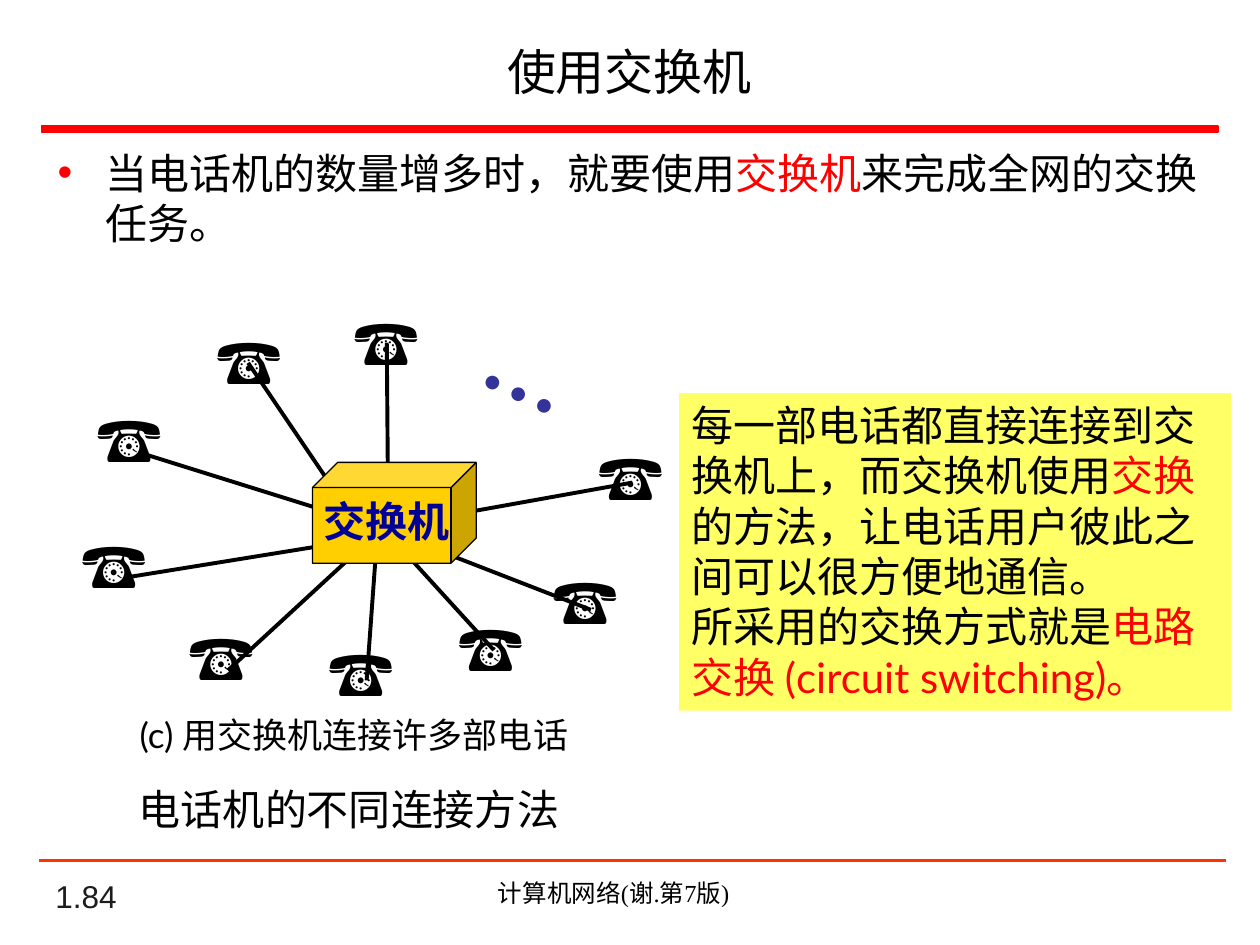
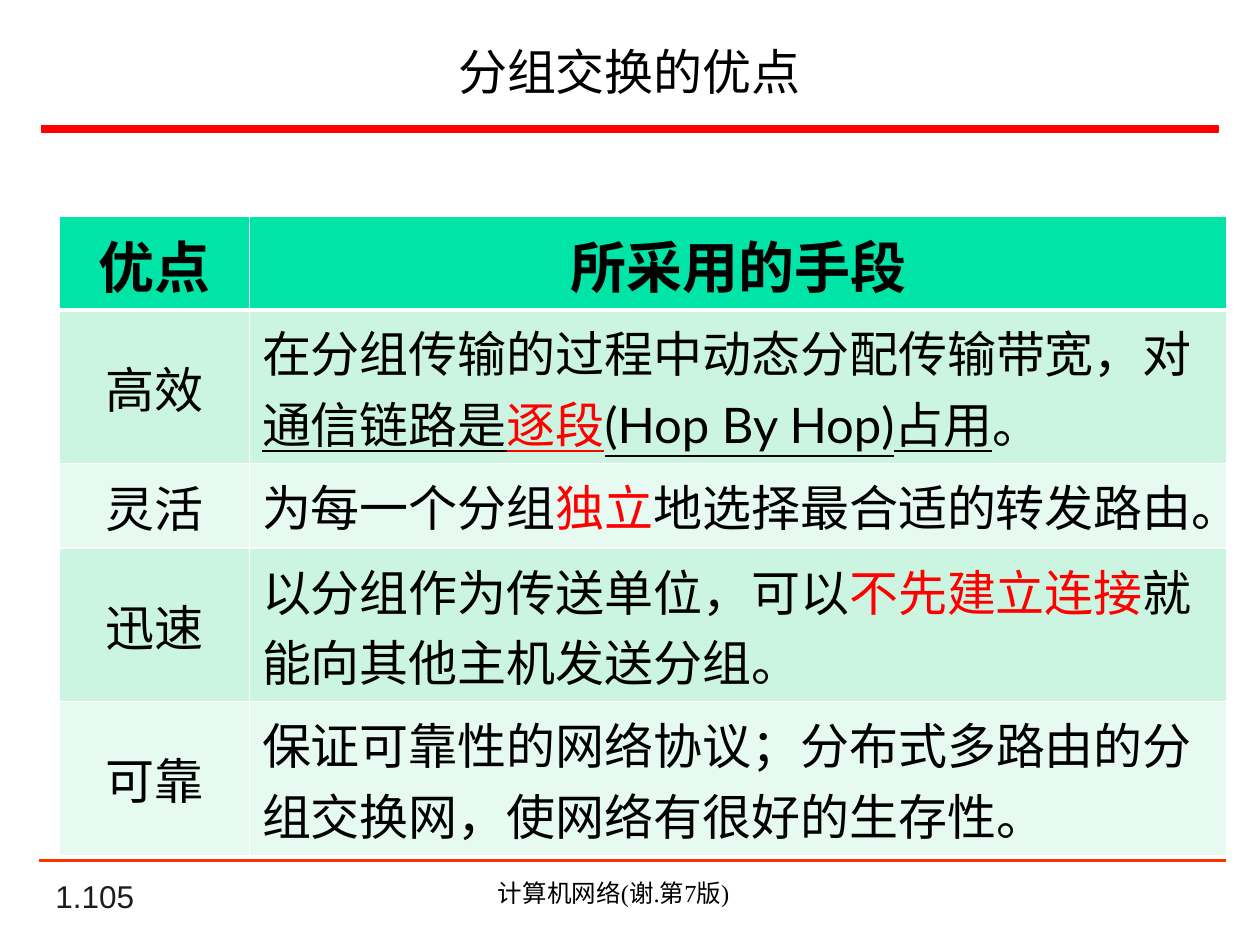
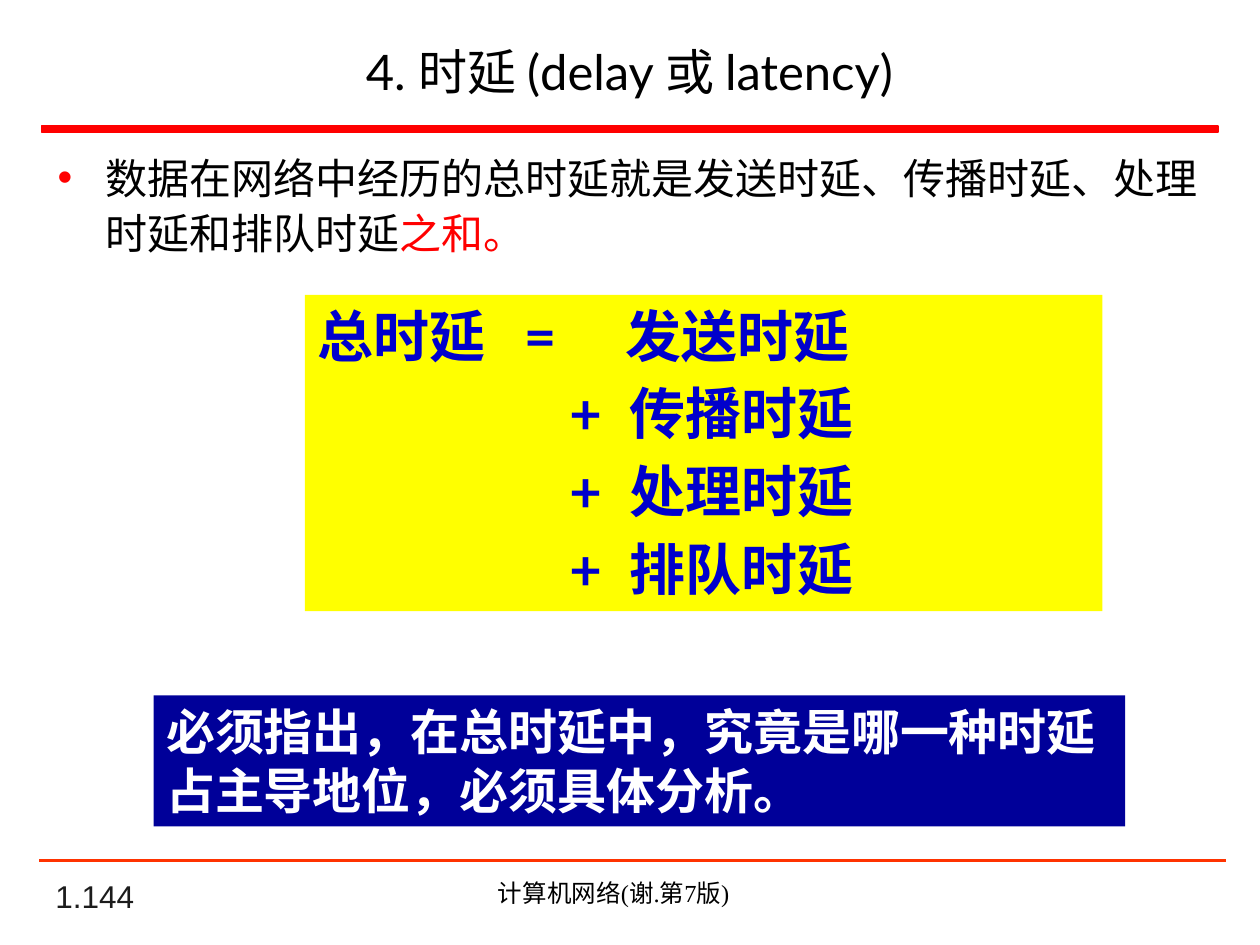
from lxml import etree
from pptx import Presentation
from pptx.dml.color import RGBColor
from pptx.enum import shapes, text
from pptx.oxml import ns

PX = 9144  # 100 px to the inch
BLACK, WHITE, RED, NAVY = "000000", "FFFFFF", "FF0000", "000099"
LATO, TIMES = "Lato", "Times New Roman"
CENTER = text.PP_ALIGN.CENTER
MIDDLE = text.MSO_ANCHOR.MIDDLE


def color(value):
    return RGBColor.from_string(value)


def write(frame, paragraphs, **look):
    """Fill a frame; a paragraph is a list of strings or (string, changes)."""
    look = {"name": LATO, "size": 24, "color": BLACK, "bold": False, **look}
    frame.word_wrap = True
    for index, runs in enumerate(paragraphs):
        paragraph = frame.add_paragraph() if index else frame.paragraphs[0]
        paragraph.alignment = look.get("alignment")
        paragraph.line_spacing = look.get("line_spacing")
        if index and "gap" in look:
            paragraph.space_before = look["gap"] * 12700
        properties = paragraph._p.get_or_add_pPr()
        if look.get("bullet"):
            properties.set("marL", str(38 * PX))
            properties.set("indent", str(-38 * PX))
            bullet_color = etree.SubElement(properties, ns.qn("a:buClr"))
            etree.SubElement(bullet_color, ns.qn("a:srgbClr"), val=RED)
            etree.SubElement(properties, ns.qn("a:buFont"), typeface="Arial")
            etree.SubElement(properties, ns.qn("a:buChar"), char="•")
        if "tabs" in look:
            tabs = etree.SubElement(properties, ns.qn("a:tabLst"))
            for stop in look["tabs"][min(index, 1)]:
                etree.SubElement(tabs, ns.qn("a:tab"), pos=str(stop * PX), algn="l")
        for item in runs:
            words, changes = (item, {}) if isinstance(item, str) else item
            style = {**look, **changes}
            run = paragraph.add_run()
            run.text = words
            run.font.color.rgb = color(style["color"])
            run.font.size = style["size"] * 12700
            for key in ("name", "bold", "underline"):
                setattr(run.font, key, style.get(key))


presentation = Presentation()
presentation.slide_width, presentation.slide_height = 1000 * PX, 750 * PX
red = {"color": RED}

# Title, red band, footer line and footer texts of every slide
lines = []  # slide, ends, colour, width in points
panels = []  # slide, box, fill, paragraphs, look
slides = []
for title, number in [("使用交换机", "1.84"), ("分组交换的优点", "1.105"),
                      ("4. 时延 (delay 或 latency)", "1.144")]:
    slide = presentation.slides.add_slide(presentation.slide_layouts[5])
    slides.append(slide)
    heading = slide.shapes.title
    heading.left, heading.top, heading.width, heading.height = [
        value * PX for value in (39, 22, 921, 69)]
    heading.text_frame.auto_size = text.MSO_AUTO_SIZE.NONE
    heading.text_frame.vertical_anchor = MIDDLE
    write(heading.text_frame, [[title]], size=28, alignment=CENTER)

    band = slide.shapes.add_shape(
        shapes.MSO_SHAPE.RECTANGLE, *[value * PX for value in (33, 100, 934, 5)])
    band.shadow.inherit = False
    band.fill.solid()
    band.fill.fore_color.rgb = band.line.color.rgb = color(RED)
    band.line.width = 12700

    lines.append((slide, (31, 683, 973, 683), "FF3300", 1.5))
    panels += [
        (slide, (34, 698, 208, 33), None, [[number]],
         {"name": "Arial", "size": 18, "color": "1C1C1C", "anchor": text.MSO_ANCHOR.BOTTOM}),
        (slide, (283, 692, 408, 34), None, [["计算机网络(谢.第7版)"]],
         {"name": TIMES, "size": 14, "alignment": CENTER}),
    ]
exchange, advantages, delay = slides

# Telephones, each with its wire to the switch
telephones = [
    ((271, 235), (307, 272, 308, 399)), ((162, 250), (197, 288, 264, 387)),
    ((67, 312), (110, 359, 270, 409)), ((55, 412), (102, 458, 275, 430)),
    ((140, 485), (181, 532, 283, 438)), ((251, 498), (291, 540, 299, 430)),
    ((354, 478), (392, 516, 299, 414)), ((429, 441), (469, 484, 330, 430)),
    ((465, 342), (502, 383, 346, 411)),
]
for corner, wire in telephones:
    lines.append((exchange, wire, BLACK, 2.25))
    panels.append((exchange, (*corner, 88, 71), None, [["☎"]],
                   {"name": TIMES, "size": 36}))

# All lines
for slide, ends, line_color, width in lines:
    line = slide.shapes.add_connector(
        shapes.MSO_CONNECTOR.STRAIGHT, *[value * PX for value in ends])
    line.line.color.rgb = color(line_color)
    line.line.width = int(width * 12700)
    etree.SubElement(line._element.spPr, ns.qn("a:effectLst"))

# Switch
switch = exchange.shapes.add_shape(
    shapes.MSO_SHAPE.CUBE, *[value * PX for value in (248, 367, 130, 80)])
switch.shadow.inherit = False
switch.fill.solid()
switch.fill.fore_color.rgb = color("FFCF01")
switch.line.color.rgb = color(BLACK)
switch.line.width = 9525

# Texts of the switch slide and the delay slide
panels += [
    (exchange, (36, 112, 928, 563), None,
     [["当电话机的数量增多时，就要使用", ("交换机", red), "来完成全网的交换任务。"]],
     {"bullet": True}),
    (exchange, (377, 248, 88, 91), None, [["…"]],
     {"name": TIMES, "size": 48, "color": "333399", "bold": True, "rotation": 24.3}),
    (exchange, (247, 388, 124, 50), None, [["交换机"]],
     {"name": TIMES, "color": NAVY, "bold": True}),
    (exchange, (539, 312, 438, 252), "FFFF66",
     [["每一部电话都直接连接到交换机上，而交换机使用", ("交换", red),
       "的方法，让电话用户彼此之间可以很方便地通信。"],
      ["所采用的交换方式就是", ("电路交换 (circuit switching)。", red)]], {}),
    (exchange, (70, 617, 414, 50), None, [["电话机的不同连接方法"]],
     {"alignment": CENTER}),
    (exchange, (71, 561, 420, 44), None, [["(c) 用交换机连接许多部电话"]],
     {"size": 20, "alignment": CENTER}),
    (delay, (36, 112, 928, 563), None,
     [["数据在网络中经历的总时延就是发送时延、传播时延、处理时延和排队时延",
       ("之和。", red)]],
     {"bullet": True, "line_spacing": 1.1}),
    (delay, (242, 234, 633, 251), "FFFF00",
     [["总时延\t=\t发送时延"], ["\t+\t传播时延"], ["\t+\t处理时延"], ["\t+\t排队时延"]],
     {"size": 32, "color": "0000CC", "bold": True, "gap": 6,
      "tabs": [(164, 245), (200, 248)]}),
    (delay, (122, 552, 771, 104), NAVY,
     [["必须指出，在总时延中，究竟是哪一种时延占主导地位，必须具体分析。"]],
     {"size": 28, "color": WHITE, "bold": True}),
]
for slide, box, fill, paragraphs, look in panels:
    panel = slide.shapes.add_textbox(*[value * PX for value in box])
    panel.rotation = look.get("rotation", 0)
    panel.text_frame.vertical_anchor = look.get("anchor", text.MSO_ANCHOR.TOP)
    if fill:
        panel.fill.solid()
        panel.fill.fore_color.rgb = color(fill)
    write(panel.text_frame, paragraphs, **look)

# Table of advantages
underlined = {"underline": True}
rows = [
    ("优点", ["所采用的手段"], 74),
    ("高效", ["在分组传输的过程中动态分配传输带宽，对", ("通信链路是", underlined),
            ("逐段", {**underlined, **red}), ("(Hop By Hop)占用", underlined), "。"], 122),
    ("灵活", ["为每一个分组", ("独立", red), "地选择最合适的转发路由。"], 67),
    ("迅速", ["以分组作为传送单位，可以", ("不先建立连接", red), "就能向其他主机发送分组。"], 122),
    ("可靠", ["保证可靠性的网络协议；分布式多路由的分组交换网，使网络有很好的生存性。"], 122),
]
table = advantages.shapes.add_table(
    len(rows), 2, *[value * PX for value in (47, 172, 927, 507)]).table
for column, width in zip(table.columns, (151, 776)):
    column.width = width * PX
for index, (benefit, means, height) in enumerate(rows):
    table.rows[index].height = height * PX
    header = index == 0
    for column, runs in enumerate(([benefit], means)):
        cell = table.cell(index, column)
        for side in "LRTB":
            thick = (index, side) in ((0, "B"), (1, "T"))
            border = etree.SubElement(cell._tc.get_or_add_tcPr(), ns.qn("a:ln" + side),
                                      w=str(38100 if thick else 12700))
            paint = etree.SubElement(border, ns.qn("a:solidFill"))
            etree.SubElement(paint, ns.qn("a:srgbClr"), val=WHITE)
        cell.fill.solid()
        cell.fill.fore_color.rgb = color(
            "00E4A8" if header else ("E7FAF1", "CCF5E1")[index % 2])
        if column == 0 and not header:
            cell.vertical_anchor = MIDDLE
        write(cell.text_frame, [runs], size=32 if header else 28, bold=header,
              alignment=CENTER if header or column == 0 else None)

presentation.save("out.pptx")
